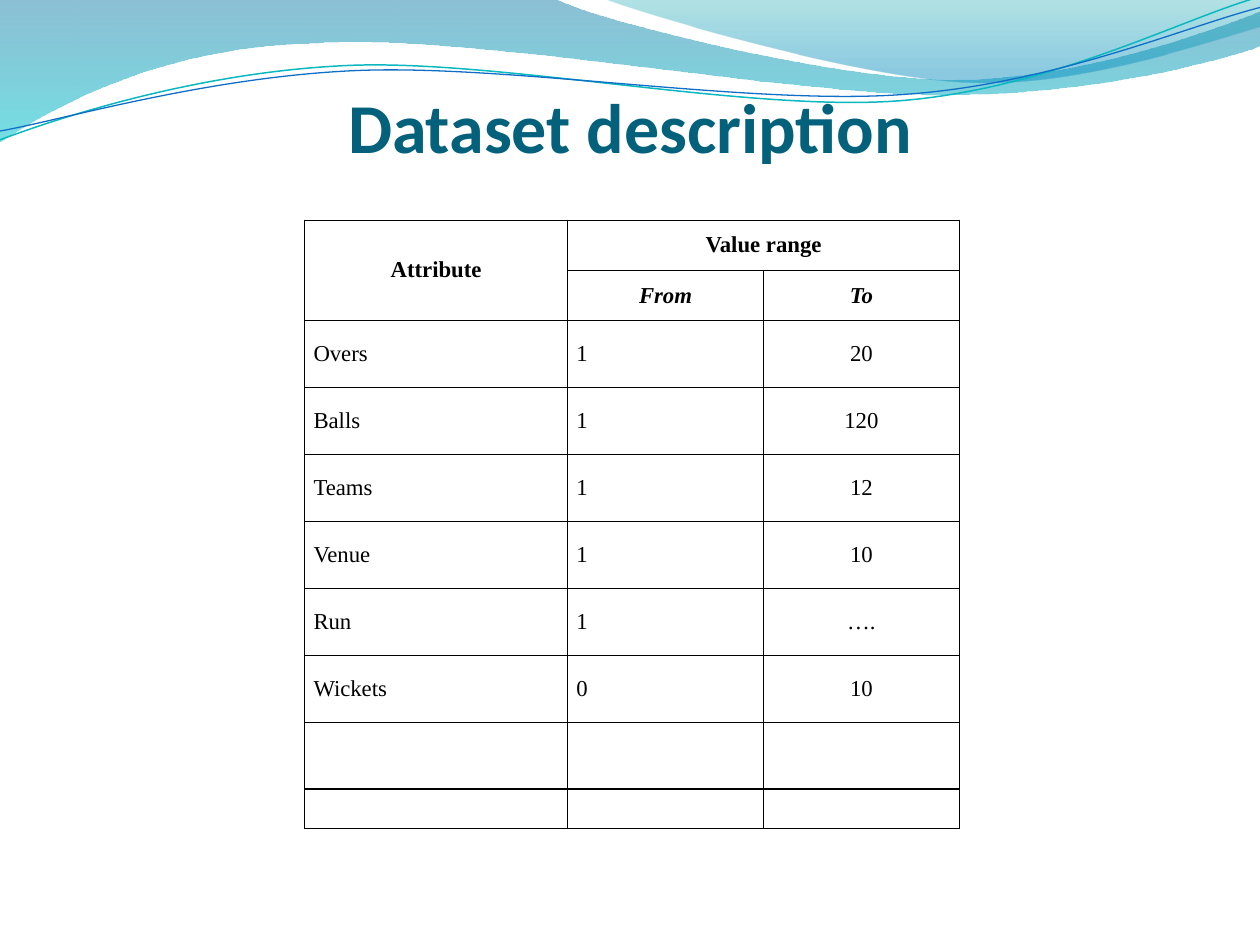
from math import cos, radians, sin
from lxml.etree import SubElement as Sub
from pptx import Presentation
from pptx.dml.color import RGBColor
from pptx.enum.text import MSO_ANCHOR as Anchor, PP_ALIGN as Align
from pptx.oxml.ns import qn
from pptx.util import Cm, Pt

BLACK = RGBColor(0, 0, 0)
TITLE = RGBColor(0x04, 0x61, 0x7B)
BLUE = RGBColor(0x00, 0x74, 0xA1)
CYAN = RGBColor(0x00, 0xC6, 0xCF)
TEAL = RGBColor(0x00, 0xA1, 0xA9)
SKY = RGBColor(0x00, 0x8B, 0xBF)
AQUA = RGBColor(0x0A, 0xB8, 0xBF)
NAVY = RGBColor(0x0F, 0x6F, 0xC6)
UNITS = 1000
TILT = 2.7

deck = Presentation()
deck.slide_width, deck.slide_height = Cm(25.4), Cm(19.05)
slide = deck.slides.add_slide(deck.slide_layouts[5])
shapes = slide.shapes


def trace(start, parts, close):
    dots = [dot for part in parts for dot in part]
    pen = shapes.build_freeform(start[0] * UNITS, start[1] * UNITS, scale=Cm(2.54) / UNITS)
    pen.add_line_segments([(x * UNITS, y * UNITS) for x, y in dots], close=close)
    shape = pen.convert_to_shape()
    shape.shadow.inherit = False
    lines = iter(list(shape._element.spPr.iter(qn("a:lnTo"))))
    for part in parts:
        first = next(lines)
        if len(part) == 3:
            first.tag_name = None
            curve = first.getparent().makeelement(qn("a:cubicBezTo"))
            first.addprevious(curve)
            for line in (first, next(lines), next(lines)):
                curve.append(line[0])
                line.getparent().remove(line)
    return shape


def write(frame, text, size, font, color, bold, slant, align):
    para = frame.paragraphs[0]
    para.alignment = align
    run = para.add_run()
    run.text = text
    face = run.font
    face.size, face.name, face.bold, face.italic = Pt(size), font, bold, slant
    face.color.rgb = color


bands = [
    ((0, 0), [[(4.4, -0.01)],
              [(4.76, 0.17), (6.64, 0.63), (7.58, 0.63)],
              [(8.53, 0.63), (9.58, 0.26), (10, 0.09)],
              [(10.01, 0.36)],
              [(9.83, 0.44), (8.7, 0.76), (7.46, 0.75)],
              [(6.22, 0.75), (3.82, 0.28), (2.57, 0.34)],
              [(1.29, 0.36), (0.46, 0.83), (-0.01, 1.13)],
              [(0, 0)]],
     [(0, BLUE, 45), (1, CYAN, 55)]),
    ((4.79, -0.01), [[(5.09, 0.11), (6.82, 0.62), (7.69, 0.65)],
                     [(8.56, 0.69), (9.61, 0.32), (10, 0.21)],
                     [(10, 0)],
                     [(4.79, -0.01)]],
     [(0, TEAL, 30), (0.8, SKY, 45)]),
]
for start, parts, stops in bands:
    band = trace(start, parts, True)
    band.line.fill.background()
    band.fill.gradient()
    band.fill.gradient_angle = 270
    for stop, (place, color, alpha) in zip(band.fill.gradient_stops, stops):
        stop.position = place
        stop.color.rgb = color
    tints = band._element.spPr.iter(qn("a:srgbClr"))
    for tint, (place, color, alpha) in zip(tints, stops):
        Sub(tint, qn("a:alpha"), val=str(alpha * 1000))

waves = [
    ([[(0, 1.11)],
      [(0.48, 0.93), (1.58, 0.57), (2.77, 0.52)],
      [(3.95, 0.47), (5.93, 0.89), (7.13, 0.8)],
      [(8.33, 0.71), (9.38, 0.15), (9.98, -0.02)]], (4.99, 0.58), AQUA, 0.85),
    ([[(0, 1.04)],
      [(0.47, 0.96), (1.64, 0.61), (2.83, 0.56)],
      [(4.03, 0.51), (5.97, 0.84), (7.17, 0.75)],
      [(8.36, 0.67), (9.41, 0.21), (10, 0.06)]], (5, 0.59), NAVY, 0.75),
]
co, si = cos(radians(TILT)), sin(radians(TILT))
for parts, (mx, my), color, width in waves:
    level = [[(mx + (x - mx) * co - (y - my) * si, my + (x - mx) * si + (y - my) * co)
              for x, y in part] for part in parts]
    wave = trace(level[0][0], level[1:], False)
    wave.rotation = 360 - TILT
    wave.fill.background()
    wave.line.color.rgb = color
    wave.line.width = Pt(width)

title = shapes.title
shapes._spTree.append(title._element)
title.left, title.top, title.width, title.height = Cm(1.27), Cm(1.27), Cm(22.86), Cm(2.11)
frame = title.text_frame
frame.vertical_anchor = Anchor.BOTTOM
frame.margin_left = frame.margin_right = frame.margin_bottom = 0
frame.margin_top = Cm(0.13)
write(frame, "Dataset description", 40, "Calibri", TITLE, True, False, Align.CENTER)

rows = [
    ("Attribute", "Value range", ""), ("", "From", "To"),
    ("Overs", "1", "20"), ("Balls", "1", "120"), ("Teams", "1", "12"),
    ("Venue", "1", "10"), ("Run", "1", "…."), ("Wickets", "0", "10"),
    ("", "", ""), ("", "", ""),
]
wide = [5.3, 3.95, 3.95]
tall = [1.01] * 2 + [1.35] * 7 + [0.79]
table = shapes.add_table(len(rows), len(wide), Cm(6.14), Cm(4.44),
                         Cm(sum(wide)), Cm(sum(tall))).table
table.first_row = table.horz_banding = False
for col, width in zip(table.columns, wide):
    col.width = Cm(width)
for row, height in zip(table.rows, tall):
    row.height = Cm(height)
table.cell(0, 0).merge(table.cell(1, 0))
table.cell(0, 1).merge(table.cell(0, 2))

for r, texts in enumerate(rows):
    for c, text in enumerate(texts):
        cell = table.cell(r, c)
        cell.vertical_anchor = Anchor.MIDDLE
        cell.margin_left = cell.margin_right = Cm(0.18)
        cell.margin_top = cell.margin_bottom = 0
        props = cell._tc.get_or_add_tcPr()
        for side in ("lnL", "lnR", "lnT", "lnB"):
            edge = Sub(props, qn("a:" + side), w=str(Pt(1)))
            Sub(Sub(edge, qn("a:solidFill")), qn("a:srgbClr"), val=str(BLACK))
        cell.fill.background()
        if text:
            align = Align.CENTER if r < 2 or c == 2 else Align.JUSTIFY
            write(cell.text_frame, text, 13, "Times New Roman", BLACK, r < 2, r == 1, align)

deck.save("out.pptx")
